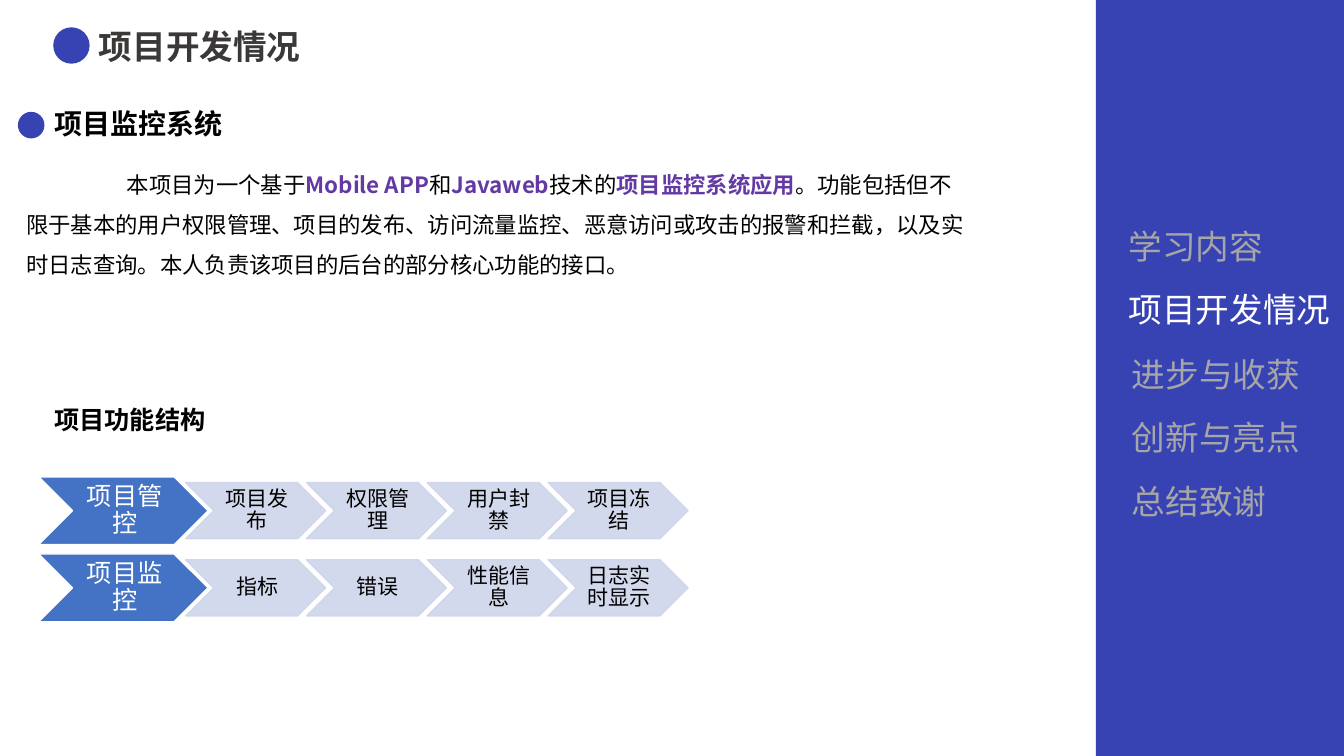
from lxml import etree
from pptx import Presentation
from pptx.dml.color import RGBColor
from pptx.enum.shapes import MSO_SHAPE
from pptx.enum.text import MSO_ANCHOR, MSO_AUTO_SIZE, PP_ALIGN
from pptx.oxml.ns import qn
from pptx.util import Pt

RECTANGLE, ELLIPSE, CHEVRON = MSO_SHAPE.RECTANGLE, MSO_SHAPE.OVAL, MSO_SHAPE.CHEVRON
LEFT, CENTER = PP_ALIGN.LEFT, PP_ALIGN.CENTER
TOP, MIDDLE = MSO_ANCHOR.TOP, MSO_ANCHOR.MIDDLE
NO_AUTOFIT = MSO_AUTO_SIZE.NONE

FONT = "Noto Sans CJK SC"
INDIGO, BLUE, PALE_BLUE, PURPLE = "3843B3", "4472C4", "CFD5EA", "633AA4"
BLACK, WHITE, GREY, DARK_GREY = "000000", "FFFFFF", "A6A6A6", "3B3838"

INTRODUCTION = [
    ("本项目为一个基于", False),
    ("Mobile APP", True),
    ("和", False),
    ("Javaweb", True),
    ("技术的", False),
    ("项目监控系统应用", True),
    ("。功能包括但不限于基本的用户权限管理、项目的发布、访问流量监控、恶意访问或攻击的报警和拦截，"
     "以及实时日志查询。本人负责该项目的后台的部分核心功能的接口。", False),
]
SECTIONS = [
    (799.2, "学习内容"),
    (799.2, "项目开发情况"),
    (801.4, "进步与收获"),
    (801.4, "创新与亮点"),
    (801.4, "总结致谢"),
]
CURRENT_SECTION = "项目开发情况"
FUNCTIONS = [
    ("项目管控", ["项目发布", "权限管理", "用户封禁", "项目冻结"]),
    ("项目监控", ["指标", "错误", "性能信息", "日志实时显示"]),
]


def set_color(color_format, color):
    color_format.rgb = RGBColor.from_string(color)


def format_run(run, size, color, bold=False):
    run.font.size = Pt(size)
    run.font.bold = bold
    run.font.name = FONT
    set_color(run.font.color, color)
    properties = run._r.get_or_add_rPr()
    etree.SubElement(properties, qn("a:ea")).set("typeface", FONT)


def place(shape, left, top, width, height):
    shape.left, shape.top = Pt(left), Pt(top)
    shape.width, shape.height = Pt(width), Pt(height)


def write(shape, text, size, color, bold=False):
    text_frame = shape.text_frame
    text_frame.text = text
    text_frame.word_wrap = True
    text_frame.auto_size = NO_AUTOFIT
    text_frame.vertical_anchor = TOP
    paragraph = text_frame.paragraphs[0]
    paragraph.alignment = LEFT
    format_run(paragraph.runs[0], size, color, bold)


def add_label(slide, left, top, width, height, text, size, color, bold=False):
    label = slide.shapes.add_textbox(Pt(left), Pt(top), Pt(width), Pt(height))
    write(label, text, size, color, bold)


def add_filled(slide, kind, left, top, width, height, color):
    shape = slide.shapes.add_shape(kind, Pt(left), Pt(top), Pt(width), Pt(height))
    shape.shadow.inherit = False
    shape.fill.solid()
    set_color(shape.fill.fore_color, color)
    shape.line.fill.background()
    return shape


def add_chevron(slide, left, middle, width, height, text, size, fill, line, color):
    chevron = add_filled(slide, CHEVRON, left, middle - height / 2, width, height, fill)
    chevron.line.width = Pt(1)
    set_color(chevron.line.color, line)
    write(chevron, text, size, color)
    text_frame = chevron.text_frame
    text_frame.vertical_anchor = MIDDLE
    text_frame.margin_left, text_frame.margin_right = Pt(2), 0
    text_frame.margin_top = text_frame.margin_bottom = Pt(1)
    text_frame.paragraphs[0].alignment = CENTER
    text_frame.paragraphs[0].line_spacing = 0.9
    return chevron


def make_translucent(shape, percent):
    for color in shape._element.spPr.iter(qn("a:srgbClr")):
        etree.SubElement(color, qn("a:alpha")).set("val", str(percent * 1000))


def fill_introduction(body):
    place(body, 11.5, 108.7, 688.3, 91.4)
    text_frame = body.text_frame
    text_frame.word_wrap = True
    text_frame.auto_size = NO_AUTOFIT
    paragraph = text_frame.paragraphs[0]
    properties = paragraph._p.get_or_add_pPr()
    properties.set("marL", "0")
    properties.set("indent", str(Pt(72)))
    etree.SubElement(properties, qn("a:buNone"))
    paragraph.space_before = Pt(0)
    paragraph.line_spacing = 1.5
    for text, highlighted in INTRODUCTION:
        run = paragraph.add_run()
        run.text = text
        format_run(run, 16, PURPLE if highlighted else BLACK, highlighted)


def add_navigation(slide):
    add_filled(slide, RECTANGLE, 782.8, 0, 177.2, 540, INDIGO)
    for index, (left, section) in enumerate(SECTIONS):
        color = WHITE if section == CURRENT_SECTION else GREY
        add_label(slide, left, 157.5 + 45.7 * index, 160.5, 36, section, 24, color)


def add_function_rows(slide):
    for row, (group, steps) in enumerate(FUNCTIONS):
        middle = 364.8 + 55.1 * row
        add_chevron(slide, 27.6, middle, 121, 48.4, group, 18, BLUE, WHITE, WHITE)
        for column, step in enumerate(steps):
            chevron = add_chevron(slide, 132.6 + 86.3 * column, middle, 100, 40.2,
                                  step, 15, PALE_BLUE, PALE_BLUE, BLACK)
            make_translucent(chevron, 90)


def main():
    presentation = Presentation()
    presentation.slide_width, presentation.slide_height = Pt(960), Pt(540)
    slide = presentation.slides.add_slide(presentation.slide_layouts[1])
    title, body = slide.placeholders
    place(title, 63.4, 15.1, 209.5, 36)
    write(title, "项目开发情况", 24, DARK_GREY, True)
    fill_introduction(body)
    add_navigation(slide)
    add_filled(slide, ELLIPSE, 38, 19.5, 26, 26, INDIGO)
    add_filled(slide, ELLIPSE, 12.8, 79.9, 19, 19, INDIGO)
    add_label(slide, 31.7, 72.7, 387.4, 31.7, "项目监控系统", 20, BLACK, True)
    add_label(slide, 31.7, 285.1, 302.4, 28.8, "项目功能结构", 18, BLACK, True)
    add_function_rows(slide)
    presentation.save("out.pptx")


if __name__ == "__main__":
    main()
